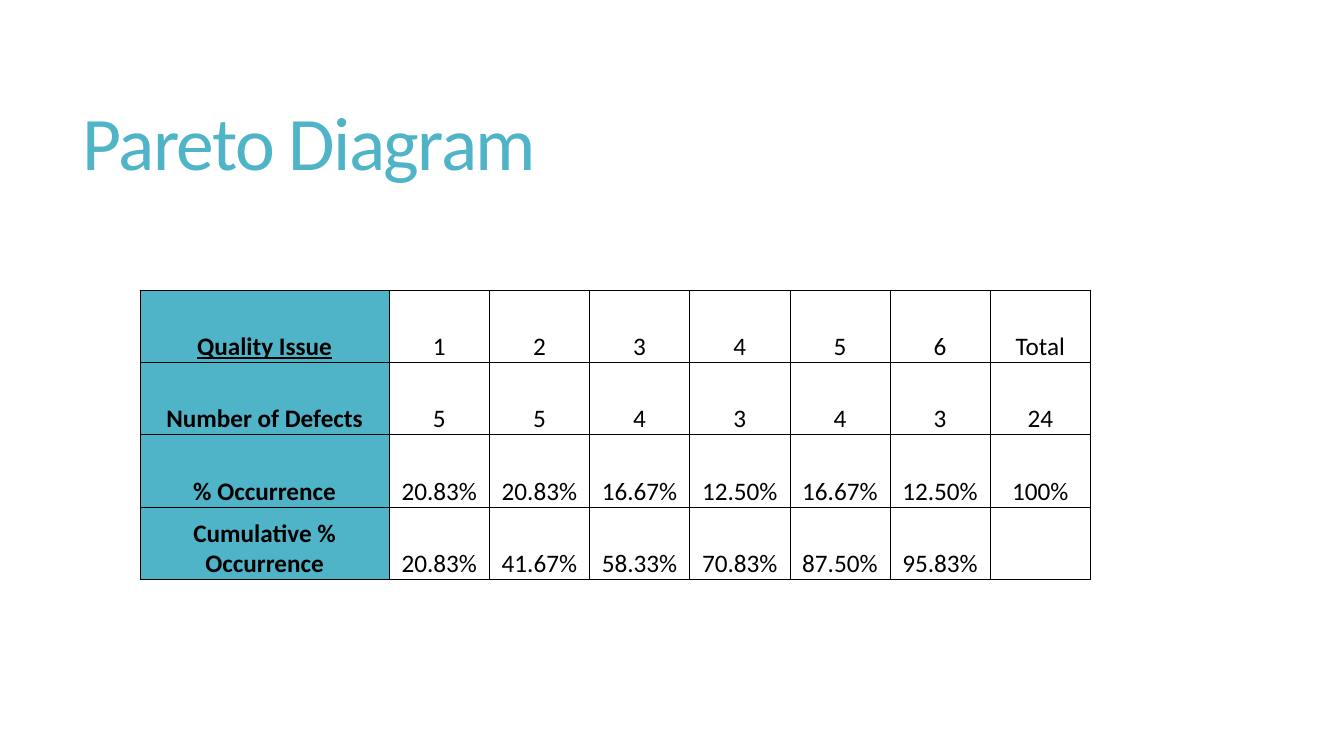
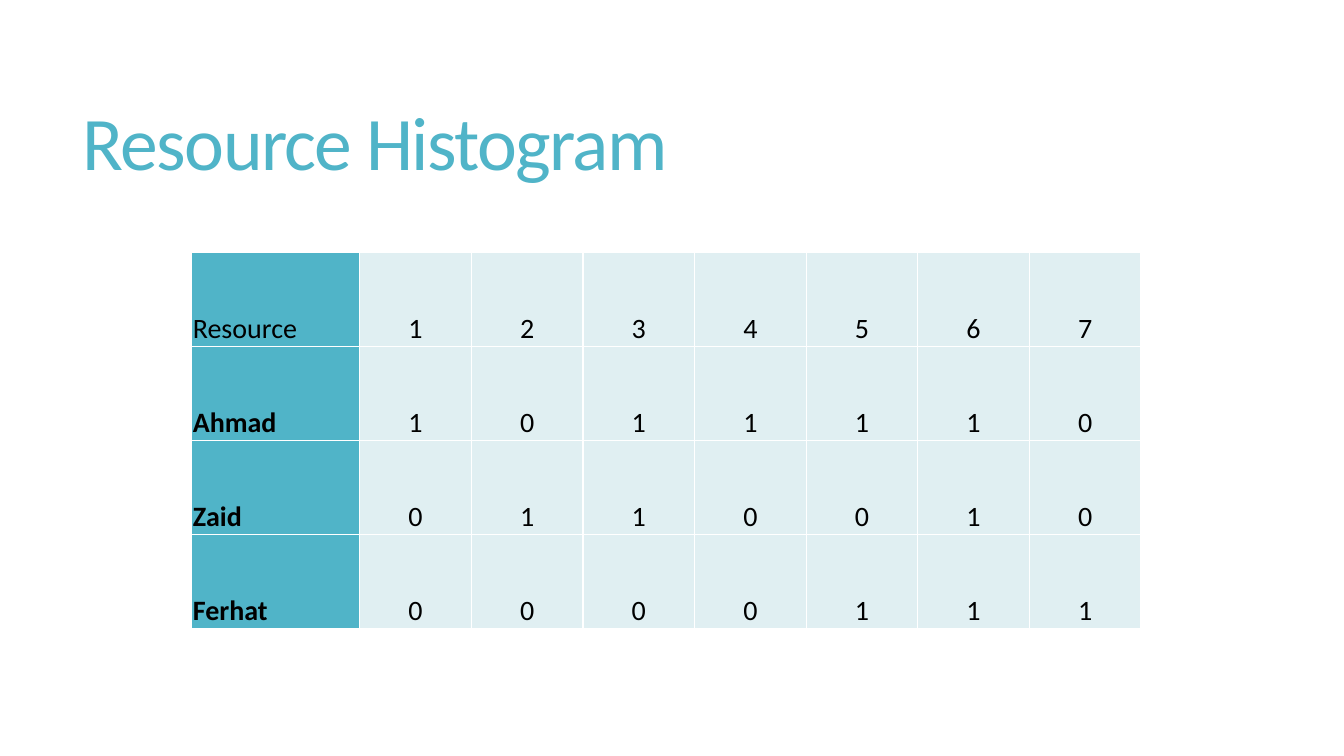
"""Build two slides, each with a title and a table of project figures."""
from lxml.etree import SubElement
from pptx import Presentation
from pptx.dml.color import RGBColor
from pptx.enum.text import MSO_ANCHOR, PP_ALIGN
from pptx.oxml.ns import qn
from pptx.util import Inches, Pt

HUES = {"teal": "50B4C8", "pale": "E0EFF2", "ink": "000000", "white": "FFFFFF"}
FONT = "Calibri"
WIDE, HIGH = Inches(13.333), Inches(7.5)
COLS, ROWS = 96, 54
INSET = Inches(0.01)

PARETO = [
    ["Quality Issue", "1", "2", "3", "4", "5", "6", "Total"],
    ["Number of Defects", "5", "5", "4", "3", "4", "3", "24"],
    ["% Occurrence", "20.83%", "20.83%", "16.67%", "12.50%", "16.67%", "12.50%", "100%"],
    ["Cumulative % Occurrence", "20.83%", "41.67%", "58.33%", "70.83%", "87.50%", "95.83%", ""],
]
STAFF = [
    ["Resource", "1", "2", "3", "4", "5", "6", "7"],
    ["Ahmad", "1", "0", "1", "1", "1", "1", "0"],
    ["Zaid", "0", "1", "1", "0", "0", "1", "0"],
    ["Ferhat", "0", "0", "0", "0", "1", "1", "1"],
]


def across(n):
    return round(WIDE * n / COLS)


def down(n):
    return round(HIGH * n / ROWS)


def place(left, top, width, height):
    return across(left), down(top), across(width), down(height)


def add_run(para, text, size, hue, bold=False, under=False):
    run = para.add_run()
    run.text = text
    font = run.font
    font.name, font.size, font.bold, font.underline = FONT, Pt(size), bold, under
    font.color.rgb = RGBColor.from_string(HUES[hue])
    return run


def add_page(deck, text):
    page = deck.slides.add_slide(deck.slide_layouts[5])
    title = page.shapes.title
    title.left, title.top, title.width, title.height = place(5.2, 4, 84.8, 13)
    title.text_frame.vertical_anchor = MSO_ANCHOR.MIDDLE
    para = title.text_frame.paragraphs[0]
    para.alignment, para.line_spacing = PP_ALIGN.LEFT, 0.85
    run = add_run(para, text, 54, "teal")
    run.font._element.set("spc", "-120")
    return page


def add_edges(cell, hue, width):
    props = cell._tc.get_or_add_tcPr()
    for side in ("a:lnL", "a:lnR", "a:lnT", "a:lnB"):
        line = SubElement(props, qn(side), w=str(Pt(width)))
        paint = SubElement(line, qn("a:solidFill"))
        SubElement(paint, qn("a:srgbClr"), val=HUES[hue])


def set_fill(cell, hue):
    if hue is None:
        cell.fill.background()
    else:
        cell.fill.solid()
        cell.fill.fore_color.rgb = RGBColor.from_string(HUES[hue])


def add_grid(page, data, box, head, size, edge, body=None, align=PP_ALIGN.CENTER,
             bold_top=True):
    count = len(data[0])
    table = page.shapes.add_table(len(data), count, *place(*box)).table
    table.first_row = table.horz_banding = False
    for i, col in enumerate(table.columns):
        col.width = across((box[2] - head) / (count - 1) if i else head)
    for r, row in enumerate(data):
        table.rows[r].height = down(box[3] / len(data))
        for c, text in enumerate(row):
            cell = table.cell(r, c)
            cell.vertical_anchor = MSO_ANCHOR.BOTTOM
            cell.margin_left = cell.margin_right = cell.margin_top = INSET
            cell.margin_bottom = 0
            add_edges(cell, *edge)
            set_fill(cell, body if c else "teal")
            para = cell.text_frame.paragraphs[0]
            para.alignment = PP_ALIGN.CENTER if c else align
            if text:
                bold = c == 0 and (r > 0 or bold_top)
                add_run(para, text, size, "ink", bold, bold and r == 0)


def main():
    deck = Presentation()
    deck.slide_width, deck.slide_height = WIDE, HIGH
    page = add_page(deck, "Pareto Diagram")
    add_grid(page, PARETO, (10, 20.7, 67.9, 20.7), 17.8, 18, ("ink", 0.5))
    page = add_page(deck, "Resource Histogram")
    add_grid(page, STAFF, (13.7, 18, 67.8, 26.9), 12, 20, ("white", 1),
             body="pale", align=PP_ALIGN.LEFT, bold_top=False)
    deck.save("out.pptx")


if __name__ == "__main__":
    main()
